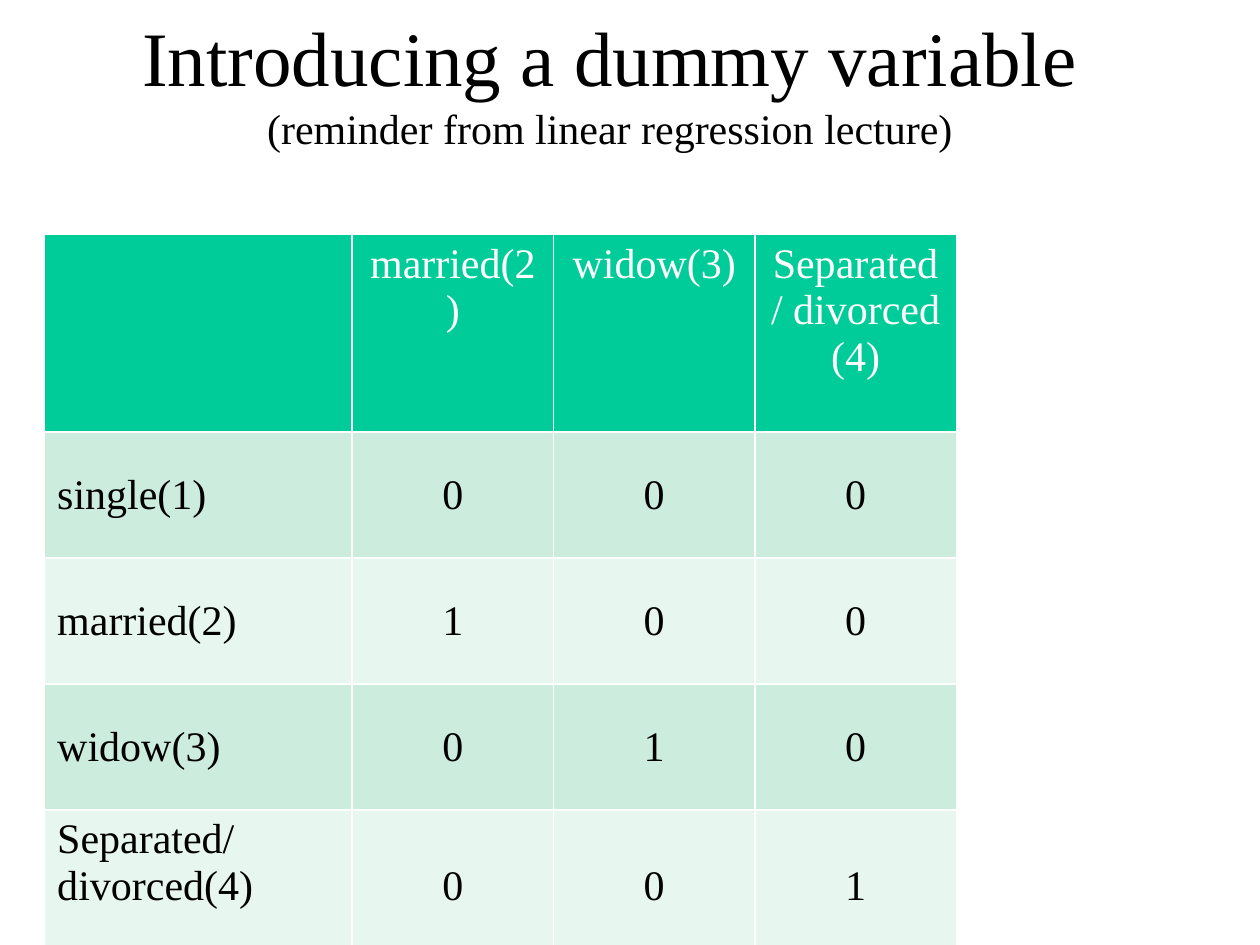
"""Build the slide that introduces dummy variables for marital status."""
from pptx import Presentation
from pptx.dml.color import RGBColor
from pptx.enum.text import MSO_ANCHOR, MSO_AUTO_SIZE, PP_ALIGN
from pptx.util import Cm, Pt

TOP, MIDDLE = MSO_ANCHOR.TOP, MSO_ANCHOR.MIDDLE
LEFT, CENTER = PP_ALIGN.LEFT, PP_ALIGN.CENTER
NO_FIT = MSO_AUTO_SIZE.NONE
BLACK = RGBColor(0x00, 0x00, 0x00)
WHITE = RGBColor(0xFF, 0xFF, 0xFF)
GREEN = RGBColor(0x00, 0xCC, 0x99)
BANDS = [RGBColor(0xE7, 0xF6, 0xEF), RGBColor(0xCC, 0xEC, 0xDE)]
FONT = "Times New Roman"


def set_font(font, size, color):
    font.name = FONT
    font.size = Pt(size)
    font.bold = False
    font.color.rgb = color


presentation = Presentation()
presentation.slide_width = Cm(25.4)
presentation.slide_height = Cm(19.05)
slide = presentation.slides.add_slide(presentation.slide_layouts[5])

title = slide.shapes.title
title.left, title.top, title.width, title.height = Cm(1.5), Cm(0.05), Cm(21.59), Cm(3.18)
title_frame = title.text_frame
title_frame.text = "Introducing a dummy variable\v(reminder from linear regression lecture)"
title_frame.auto_size = NO_FIT
title_frame.vertical_anchor = MIDDLE
title_paragraph = title_frame.paragraphs[0]
title_paragraph.alignment = CENTER
for run, size in zip(title_paragraph.runs, (44, 24)):
    set_font(run.font, size, BLACK)

rows = [
    ["", "married(2)", "widow(3)", "Separated/ divorced (4)"],
    ["single(1)", "0", "0", "0"],
    ["married(2)", "1", "0", "0"],
    ["widow(3)", "0", "1", "0"],
    ["Separated/divorced(4)", "0", "0", "1"],
]
column_widths = [6.2, 4.06, 4.06, 4.06]
row_heights = [3.98, 2.54, 2.54, 2.54, 3.06]
table = slide.shapes.add_table(
    len(rows), len(column_widths), Cm(0.9), Cm(4.73), Cm(sum(column_widths)), Cm(sum(row_heights))
).table
for column, width in zip(table.columns, column_widths):
    column.width = Cm(width)

last_row = len(rows) - 1
for row_index, (values, height) in enumerate(zip(rows, row_heights)):
    table.rows[row_index].height = Cm(height)
    is_header = row_index == 0
    for column_index, value in enumerate(values):
        is_label = column_index == 0
        cell = table.cell(row_index, column_index)
        cell.text = value
        cell.fill.solid()
        cell.fill.fore_color.rgb = GREEN if is_header else BANDS[row_index % 2]
        cell.vertical_anchor = TOP if is_header or (is_label and row_index == last_row) else MIDDLE
        paragraph = cell.text_frame.paragraphs[0]
        paragraph.alignment = LEFT if is_label else CENTER
        set_font(paragraph.font, 24, WHITE if is_header else BLACK)

presentation.save("out.pptx")
